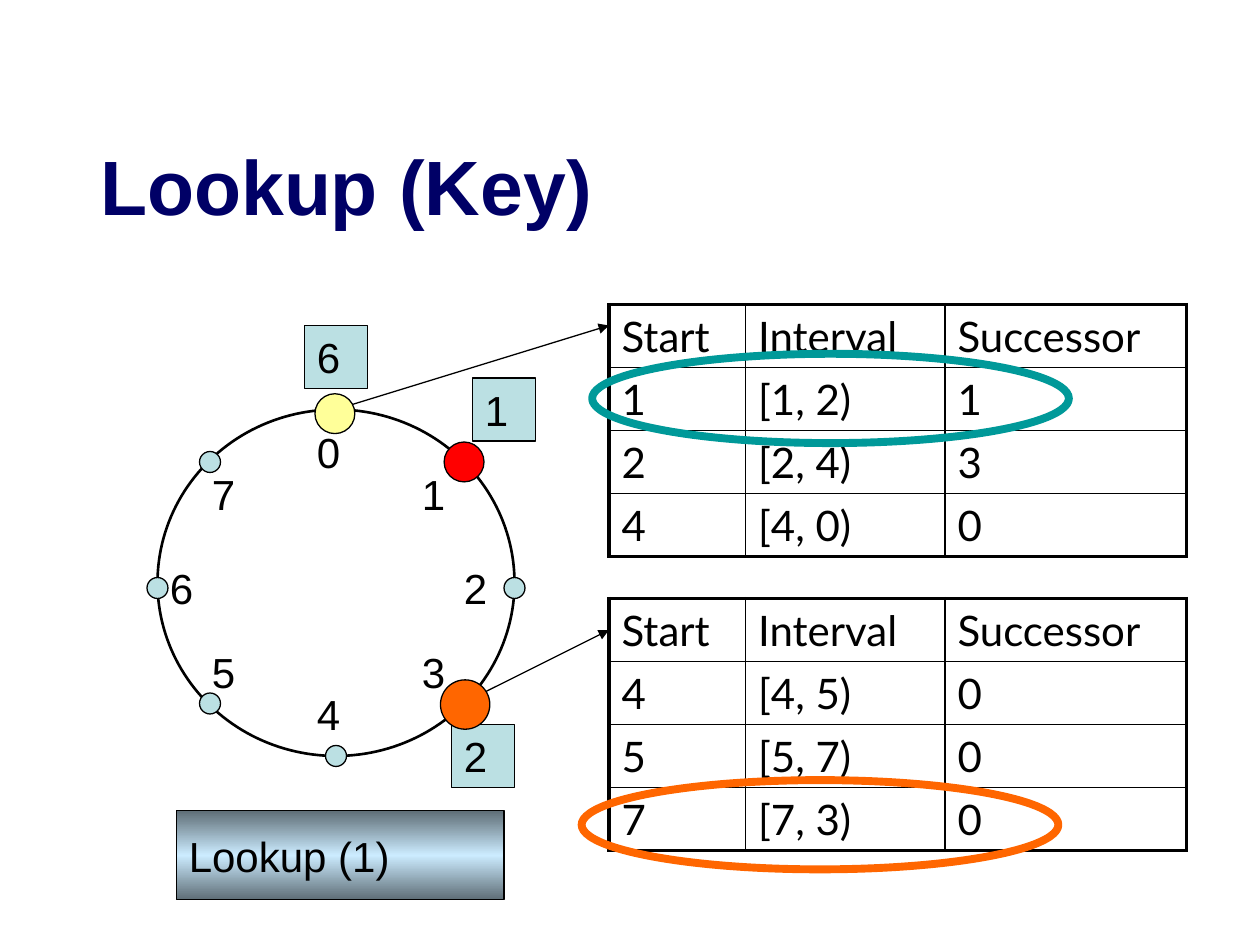
from copy import deepcopy

from pptx import Presentation
from pptx.dml.color import RGBColor
from pptx.enum.shapes import MSO_CONNECTOR, MSO_SHAPE
from pptx.enum.text import MSO_ANCHOR, PP_ALIGN
from pptx.oxml import parse_xml
from pptx.oxml.ns import nsdecls, qn
from pptx.oxml.xmlchemy import OxmlElement
from pptx.util import Inches, Pt

COLUMNS, ROWS = 120, 90
BLACK, PALE_BLUE, ORANGE = "000000", "BBE0E3", "FF6600"
NODES = [
    ((32, 39), (29, 40)),
    ((44, 44), (39, 44)),
    ((49, 56), (43, 53)),
    ((44, 67), (39, 61)),
    ((32, 72), (29, 65)),
    ((20, 67), (19, 61)),
    ((15, 56), (15, 53)),
    ((20, 44), (19, 44)),
]
ACTIVE_NODES = (0, 1, 3)
KEYS = [("6", 29, 31), ("1", 45, 36), ("2", 43, 69)]
FINGER_HEADER = ("Start", "Interval", "Successor")
FINGER_WIDTHS = (13, 19, 23)
FINGER_LEFT, FINGER_ROW = 58, 6


def grid(*cells):
    """Turn grid cells of a twelfth of an inch into lengths."""
    return [Inches(cell / 12) for cell in cells]


def color(hex_code):
    """Turn a hex string into a colour."""
    return RGBColor.from_string(hex_code)


def write(frame, text, size=24, font="Arial", ink=BLACK, bold=False,
          align=PP_ALIGN.LEFT, anchor=MSO_ANCHOR.TOP):
    """Put one formatted line of text into a frame."""
    frame.word_wrap = True
    frame.vertical_anchor = anchor
    line = frame.paragraphs[0]
    line.alignment = align
    run = line.add_run()
    run.text = text
    run.font.size = Pt(size)
    run.font.name = font
    run.font.bold = bold
    run.font.color.rgb = color(ink)


def add_label(slide, text, area, **style):
    """Add a text box over an area of the grid."""
    write(slide.shapes.add_textbox(*grid(*area)).text_frame, text, **style)


def add_figure(slide, preset, area, fill=None, outline=BLACK, weight=0.75):
    """Add an outlined preset shape, filled when a colour is given."""
    figure = slide.shapes.add_shape(preset, *grid(*area))
    figure.shadow.inherit = False
    if fill:
        figure.fill.solid()
        figure.fill.fore_color.rgb = color(fill)
    else:
        figure.fill.background()
    figure.line.color.rgb = color(outline)
    figure.line.width = Pt(weight)
    return figure


def add_disc(slide, center, diameter, fill):
    """Add a filled circle around a point of the grid."""
    x, y = center
    area = (x - diameter / 2, y - diameter / 2, diameter, diameter)
    add_figure(slide, MSO_SHAPE.OVAL, area, fill)


def add_box(slide, text, area, fill=None):
    """Add a rectangle with vertically centred text."""
    box = add_figure(slide, MSO_SHAPE.RECTANGLE, area, fill)
    write(box.text_frame, text, anchor=MSO_ANCHOR.MIDDLE)
    return box


def shade(box, *tones):
    """Fill a box with evenly spaced tones from top to bottom."""
    box.fill.gradient()
    box.fill.gradient_angle = 270
    stop_list = box.element.spPr.find(qn("a:gradFill")).find(qn("a:gsLst"))
    stop_list.append(deepcopy(stop_list[0]))
    for index, (stop, tone) in enumerate(zip(box.fill.gradient_stops, tones)):
        stop.position = index / (len(tones) - 1)
        stop.color.rgb = color(tone)


def add_arrow(slide, start, end):
    """Add a thin arrow between two points of the grid."""
    arrow = slide.shapes.add_connector(MSO_CONNECTOR.STRAIGHT, *grid(*start, *end))
    arrow.line.color.rgb = color(BLACK)
    arrow.line.width = Pt(0.75)
    arrow.line._get_or_add_ln().append(
        parse_xml(f'<a:tailEnd {nsdecls("a")} type="triangle"/>'))
    arrow.element.spPr.append(OxmlElement("a:effectLst"))


def border(cell, weights):
    """Draw left, right, top and bottom cell borders of given weights."""
    properties = cell._tc.get_or_add_tcPr()
    for index, (side, weight) in enumerate(zip("LRTB", weights)):
        properties.insert(index, parse_xml(
            f'<a:ln{side} {nsdecls("a")} w="{Pt(weight)}"><a:solidFill>'
            f'<a:srgbClr val="{BLACK}"/></a:solidFill></a:ln{side}>'))


def add_finger_table(slide, top, entries):
    """Add a finger table with a heavy frame and thin inner rules."""
    records = [FINGER_HEADER, *entries]
    area = (FINGER_LEFT, top, sum(FINGER_WIDTHS), FINGER_ROW * len(records))
    table = slide.shapes.add_table(
        len(records), len(FINGER_HEADER), *grid(*area)).table
    table.first_row = table.horz_banding = False
    for column, width in zip(table.columns, grid(*FINGER_WIDTHS)):
        column.width = width
    for r, record in enumerate(records):
        for c, value in enumerate(record):
            cell = table.cell(r, c)
            cell.fill.background()
            write(cell.text_frame, value, font="Lato")
            edges = (c == 0, c == len(record) - 1, r == 0, r == len(records) - 1)
            border(cell, [2.25 if edge else 1 for edge in edges])


def add_ring(slide):
    """Add the identifier circle with its numbered nodes and keys."""
    add_figure(slide, MSO_SHAPE.OVAL, (15, 39, 34, 33), weight=1.5)
    for number, (center, label_corner) in enumerate(NODES):
        add_disc(slide, center, 2, BLACK if number in ACTIVE_NODES else PALE_BLUE)
        add_label(slide, str(number), (*label_corner, 6, 6))
    for key, left, top in KEYS:
        add_box(slide, key, (left, top, 6, 6), PALE_BLUE)


def main():
    """Build the lookup slide and save it."""
    deck = Presentation()
    deck.slide_width, deck.slide_height = grid(COLUMNS, ROWS)
    slide = deck.slides.add_slide(deck.slide_layouts[6])

    add_label(slide, "Lookup (Key)", (8, 11.9, 50, 11.3), size=44, ink="000066",
              bold=True, align=PP_ALIGN.CENTER, anchor=MSO_ANCHOR.MIDDLE)
    add_ring(slide)
    add_finger_table(slide, 29, [
        ("1", "[1, 2)", "1"), ("2", "[2, 4)", "3"), ("4", "[4, 0)", "0")])
    add_arrow(slide, NODES[0][0], (FINGER_LEFT, 31))
    add_finger_table(slide, 57, [
        ("4", "[4, 5)", "0"), ("5", "[5, 7)", "0"), ("7", "[7, 3)", "0")])
    add_arrow(slide, NODES[3][0], (FINGER_LEFT, 60))

    query = add_box(slide, "Lookup (1)", (16.8, 77.2, 31.2, 8.5))
    shade(query, "5E6D76", "CCECFF", "5E6D76")

    add_figure(slide, MSO_SHAPE.OVAL, (55.4, 74.3, 45.4, 8.5),
               outline=ORANGE, weight=4.5)
    add_disc(slide, (31.9, 39.4), 3.8, "FFFF99")
    add_figure(slide, MSO_SHAPE.OVAL, (56.4, 33.7, 45.4, 8.5),
               outline="009999", weight=4.5)
    add_disc(slide, (44.2, 44), 3.8, "FF0000")
    add_disc(slide, (44.3, 67.1), 4.7, ORANGE)
    deck.save("out.pptx")


if __name__ == "__main__":
    main()
